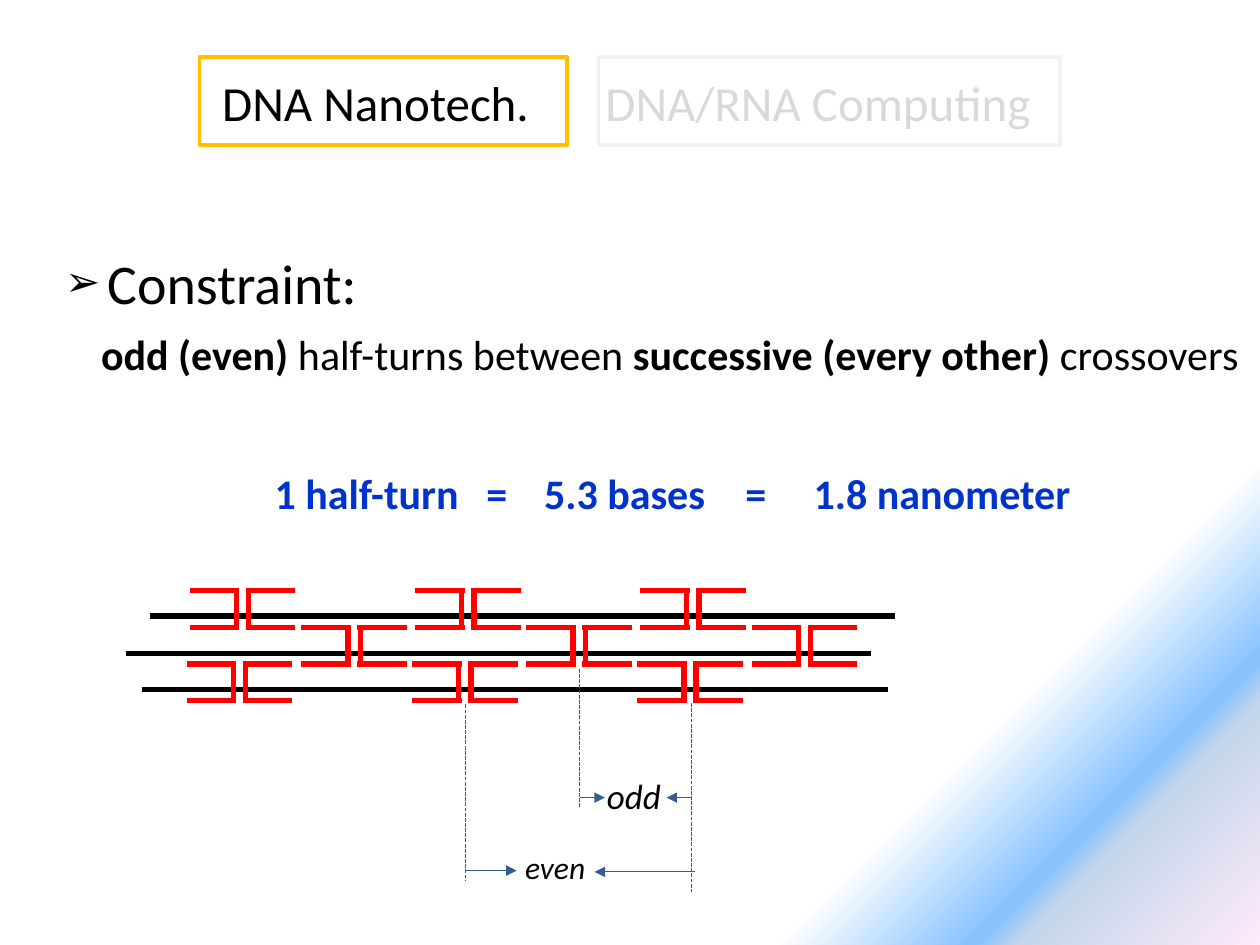
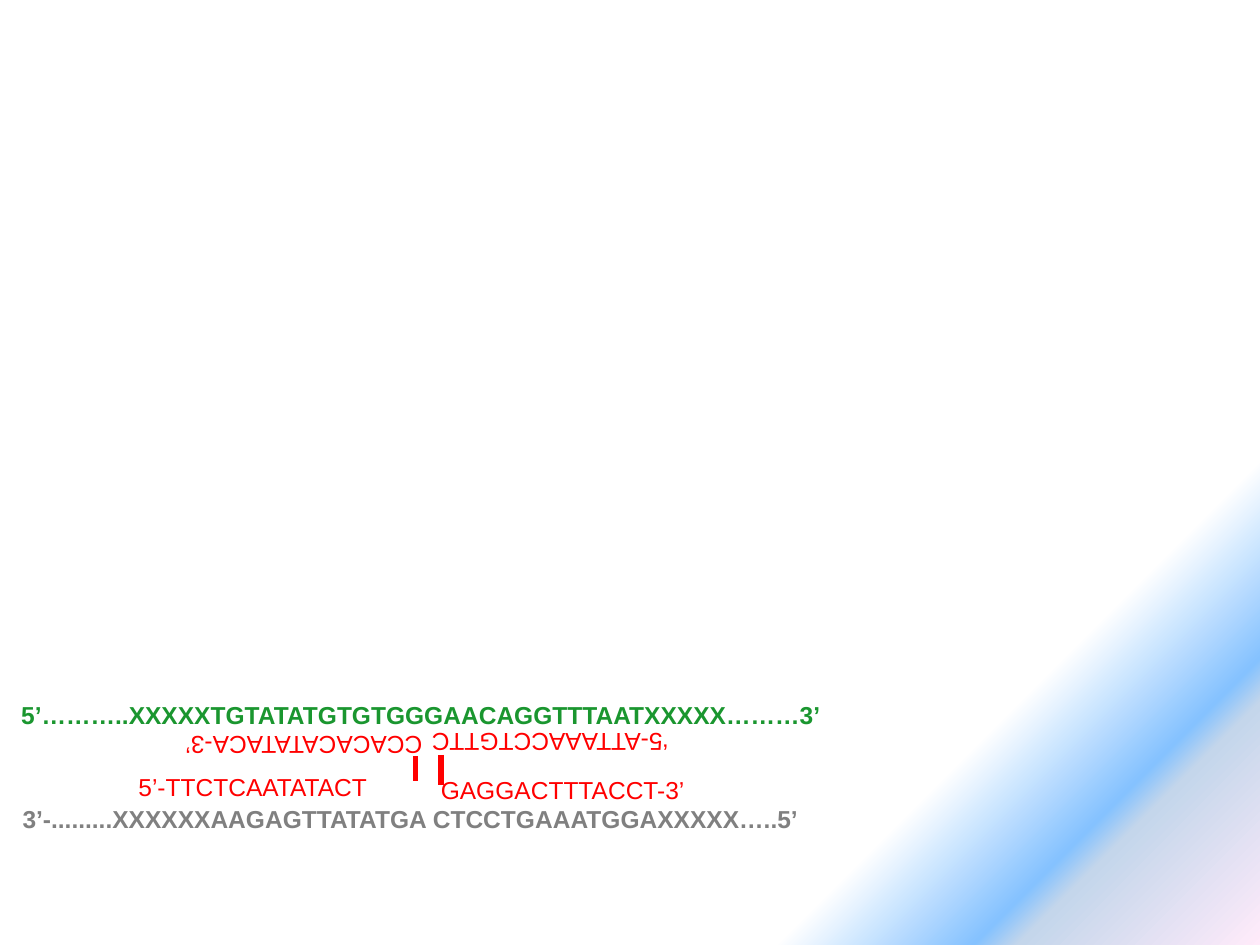
"""Build two slides on DNA nanotechnology: crossover spacing and staple sequences."""
from lxml import etree
from pptx import Presentation
from pptx.dml.color import RGBColor
from pptx.enum import dml, shapes, text
from pptx.oxml import ns
from pptx.util import Pt

COLORS = {
    "black": "000000", "red": "FF0000", "blue": "0033CC", "arrow": "355D8D",
    "green": "1A962F", "gray": "808080", "faded": "D9D9D9",
    "gold": "FFC000", "pale": "F2F2F2",
}
BACKGROUND = [(78, "FFFFFF"), (87, "85C2FF"), (89, "C4D6EB"), (100, "FFEBFA")]

TOPICS = [("DNA Nanotech.", "black"), ("\tDNA/RNA Computing", "faded")]
TOPIC_FRAMES = [(114, 210, "gold"), (342, 264, "pale")]
CONSTRAINT = "Constraint:"
RULE = [("odd (even)", True), (" half-turns between ", False),
        ("successive (every other)", True), (" crossovers", False)]
EQUATION = "1 half-turn\t=\t5.3 bases\t=\t1.8 nanometer"
EQUATION_TABS = [121, 154, 269, 308]

STRANDS = [(85.5, 352), (72, 373.5), (81.4, 394)]
STRAND_LENGTH = 426
ROW_STARTS = [138.6, 202.3, 136.9]
ROW_TOP, ROW_HEIGHT = 337.5, 21
COLUMNS, COLUMN_STEP = 3, 128.7
ARM_INNER, ARM_OUTER, STEM = 1.8, 30.2, 3.5

GUIDES = [(395.3, 401.8, 509.8), (331.2, 382.3, 461.5), (265.9, 402.5, 503.3)]
ARROWS = [(395.3, 380.9, 455.8), (331.2, 345.6, 455.8),
          (397.4, 339.8, 498.2), (266.4, 295.2, 497.5)]
SPACINGS = [("odd", 339.8, 439.2, 45.4, 31.7, 20),
            ("even", 293, 481, 49, 28.8, 18)]

SEQUENCES = [
    ("5’………..XXXXXTGTATATGTGTGGGAACAGGTTTAATXXXXX………3’",
     (5, 396, 498.2, 24.5), "green", True, 0),
    ("3’-.........XXXXXXAAGAGTTATATGA CTCCTGAAATGGAXXXXX…..5’",
     (5.8, 455.8, 504, 24.5), "gray", True, 0),
    ("CCACACATATACA-3’", (98.6, 414, 149.8, 24.5), "red", False, 180),
    ("‘5-ATTAAACCTGTTC", (230.4, 412.6, 158.4, 24.5), "red", False, 180),
    ("5’-TTCTCAATATACT", (72, 438.5, 149.8, 21.6), "red", False, 0),
    ("GAGGACTTTACCT-3’", (244.8, 439.2, 162, 24.5), "red", False, 0),
]
JOINTS = [(252, 431.3, 448.6), (237.6, 432, 446.4)]


def rgb(name):
    return RGBColor.from_string(COLORS[name])


def add_xml(parent, tag, **attributes):
    return etree.SubElement(parent, ns.qn(tag), attributes)


def paint_background(deck):
    fill = deck.slide_master.background.fill
    fill.gradient()
    fill.gradient_angle = 315
    stops = fill.gradient_stops
    stop_list = stops[0]._gs.getparent()
    for child in list(stop_list):
        stop_list.remove(child)
    for position, color in BACKGROUND:
        stop = add_xml(stop_list, "a:gs", pos=str(position * 1000))
        add_xml(stop, "a:srgbClr", val=color)


def style(span, size, color="black", bold=False, italic=False, face="Calibri"):
    span.font.name, span.font.size = face, Pt(size)
    span.font.bold, span.font.italic = bold, italic
    span.font.color.rgb = rgb(color)


def add_span(para, words, size, **look):
    span = para.add_run()
    span.text = words
    style(span, size, **look)


def add_text(page, area, words="", wrap=True):
    box = page.shapes.add_textbox(*map(Pt, area))
    box.text_frame.word_wrap = wrap
    box.text_frame.text = words
    return box


def set_tabs(para, positions):
    tabs = add_xml(para._p.get_or_add_pPr(), "a:tabLst")
    for position in positions:
        add_xml(tabs, "a:tab", pos=str(Pt(position)), algn="l")


def add_line(page, start, end, color, width, dashed=False, arrow=False):
    line = page.shapes.add_connector(
        shapes.MSO_CONNECTOR.STRAIGHT, *map(Pt, start + end))
    line.line.color.rgb = rgb(color)
    line.line.width = Pt(width)
    if dashed:
        line.line.dash_style = dml.MSO_LINE.SQUARE_DOT
    if arrow:
        add_xml(line.line._get_or_add_ln(), "a:tailEnd", type="triangle")
    add_xml(line._element.spPr, "a:effectLst")


def add_title(page):
    title = page.shapes.title
    title.left, title.top, title.width, title.height = map(Pt, (12, 0, 696, 116))
    frame = title.text_frame
    frame.auto_size = text.MSO_AUTO_SIZE.NONE
    frame.vertical_anchor = text.MSO_ANCHOR.MIDDLE
    frame.margin_left = Pt(115)
    para = frame.paragraphs[0]
    para.alignment = text.PP_ALIGN.LEFT
    set_tabs(para, [219])
    for words, color in TOPICS:
        add_span(para, words, 28, color=color)
    for left, width, color in TOPIC_FRAMES:
        box = page.shapes.add_shape(
            shapes.MSO_SHAPE.RECTANGLE, *map(Pt, (left, 32.4, width, 50.4)))
        box.shadow.inherit = False
        box.fill.background()
        box.line.color.rgb = rgb(color)
        box.line.width = Pt(2.25)


def add_constraint(page):
    frame = add_text(page, (30.2, 138.2, 689, 85), CONSTRAINT).text_frame
    heading = frame.paragraphs[0]
    style(heading.runs[0], 32)
    props = heading._p.get_or_add_pPr()
    props.set("marL", str(Pt(24)))
    props.set("indent", str(Pt(-24)))
    add_xml(props, "a:buSzPct", val="75000")
    add_xml(props, "a:buFont", typeface="Arial")
    add_xml(props, "a:buChar", char="➢")
    rule = frame.add_paragraph()
    rule.space_before = Pt(7.5)
    rule._p.get_or_add_pPr().set("marL", str(Pt(20.5)))
    for words, bold in RULE:
        add_span(rule, words, 24, bold=bold)

    equation = add_text(page, (149.8, 263.5, 490, 36), EQUATION).text_frame.paragraphs[0]
    set_tabs(equation, EQUATION_TABS)
    for span in equation.runs:
        style(span, 24, "blue", bold=True)


def add_crossover(page, center, top):
    bottom = top + ROW_HEIGHT
    for side in (-1, 1):
        inner, outer, stem = (center + side * d for d in (ARM_INNER, ARM_OUTER, STEM))
        for y in (top, bottom):
            add_line(page, (outer, y), (inner, y), "red", 3)
        add_line(page, (stem, top), (stem, bottom), "red", 3)


def build_crossover_page(deck):
    page = deck.slides.add_slide(deck.slide_layouts[5])
    add_title(page)
    add_constraint(page)
    for left, y in STRANDS:
        add_line(page, (left, y), (left + STRAND_LENGTH, y), "black", 3)
    for row, start in enumerate(ROW_STARTS):
        for column in range(COLUMNS):
            add_crossover(page, start + column * COLUMN_STEP, ROW_TOP + row * ROW_HEIGHT)
    for x, top, bottom in GUIDES:
        add_line(page, (x, top), (x, bottom), "arrow", 0.75, dashed=True)
    for start, end, y in ARROWS:
        add_line(page, (start, y), (end, y), "arrow", 0.75, arrow=True)
    for words, left, top, width, height, size in SPACINGS:
        box = add_text(page, (left, top, width, height), words, wrap=False)
        style(box.text_frame.paragraphs[0].runs[0], size, italic=True)


def build_sequence_page(deck):
    page = deck.slides.add_slide(deck.slide_layouts[6])
    for words, area, color, bold, rotation in SEQUENCES:
        box = add_text(page, area, words)
        box.rotation = rotation
        box.text_frame.vertical_anchor = text.MSO_ANCHOR.MIDDLE
        style(box.text_frame.paragraphs[0].runs[0], 14, color, bold, face="Arial")
    for x, top, bottom in JOINTS:
        add_line(page, (x, top), (x, bottom), "red", 3)


def main():
    deck = Presentation()
    deck.slide_width, deck.slide_height = Pt(720), Pt(540)
    paint_background(deck)
    build_crossover_page(deck)
    build_sequence_page(deck)
    deck.save("out.pptx")


if __name__ == "__main__":
    main()
